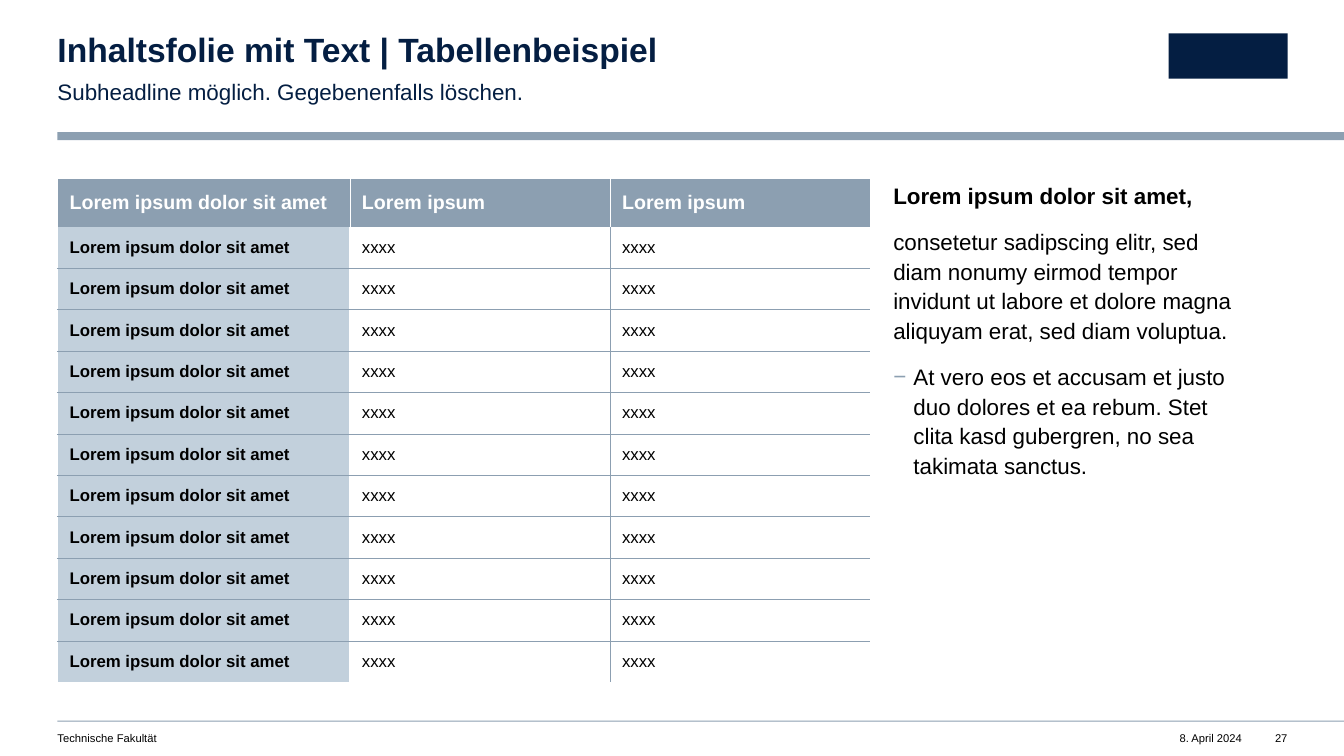
from lxml.etree import SubElement
from pptx import Presentation
from pptx.dml.color import RGBColor
from pptx.enum.shapes import MSO_SHAPE
from pptx.enum.text import MSO_ANCHOR, MSO_AUTO_SIZE, PP_ALIGN
from pptx.oxml.ns import qn
from pptx.util import Pt

EMU_PER_PX = 9144
NAVY, STEEL, PALE, WHITE, BLACK = "041E42", "8C9FB1", "C2D0DC", "FFFFFF", "000000"
LEFT, WIDTH, HEIGHT = 57, 1333, 750


def px(value):
    return value * EMU_PER_PX


def color(value):
    return RGBColor.from_string(value)


def apply(target, values):
    for name, value in values.items():
        setattr(target, name, value)


class SlideBuilder:
    font_name = "Arial"

    def __init__(self, page):
        self.page = page

    def bar(self, left, top, width, height, fill):
        box = self.page.shapes.add_shape(MSO_SHAPE.RECTANGLE, *map(px, (left, top, width, height)))
        box.shadow.inherit = False
        box.fill.solid()
        box.fill.fore_color.rgb = color(fill)
        box.line.fill.background()

    def add_span(self, para, text, size, ink, bold=False):
        span = para.add_run()
        span.text = text
        apply(span.font, {"name": self.font_name, "size": Pt(size), "bold": bold})
        span.font.color.rgb = color(ink)

    def frame(self, box, place, right_inset=0):
        apply(box, dict(zip(("left", "top", "width", "height"), map(px, place))))
        apply(box.text_frame, {
            "margin_left": 0, "margin_top": 0, "margin_right": px(right_inset), "margin_bottom": 0,
            "word_wrap": True, "auto_size": MSO_AUTO_SIZE.NONE, "vertical_anchor": MSO_ANCHOR.TOP,
        })
        return box.text_frame

    def title(self, text, place):
        para = self.frame(self.page.shapes.title, place).paragraphs[0]
        apply(para, {"alignment": PP_ALIGN.LEFT, "line_spacing": 0.9})
        self.add_span(para, text, 24, NAVY, True)

    def body(self, index, place, items, ink):
        frame = self.frame(self.page.placeholders[index], place, right_inset=39)
        for number, (text, bold, level) in enumerate(items):
            para = frame.add_paragraph() if number else frame.paragraphs[0]
            apply(para, {"level": level, "line_spacing": 1.1,
                         "space_before": Pt(0), "space_after": Pt(12)})
            self.add_span(para, text, 16, ink, bold)
            self.bullet(para, level)

    def bullet(self, para, level):
        properties = para._p.get_or_add_pPr()
        properties.set("marL", str(px(20 * level)))
        properties.set("indent", str(px(-20 * level)))
        if level:
            tint = SubElement(properties, qn("a:buClr"))
            SubElement(tint, qn("a:srgbClr"), val=STEEL)
            SubElement(properties, qn("a:buFont"), typeface=self.font_name)
            SubElement(properties, qn("a:buChar"), char="−")
        else:
            SubElement(properties, qn("a:buNone"))

    def label(self, text, place, alignment=PP_ALIGN.LEFT):
        box = self.page.shapes.add_textbox(*map(px, place))
        para = self.frame(box, place).paragraphs[0]
        para.alignment = alignment
        self.add_span(para, text, 8, BLACK)

    def borders(self, cell, edges):
        properties = cell._tc.get_or_add_tcPr()
        for position, (side, edge) in enumerate(zip("LRTB", edges)):
            line = SubElement(properties, qn(f"a:ln{side}"))
            if edge:
                ink, width = edge
                line.set("w", str(Pt(width)))
                SubElement(SubElement(line, qn("a:solidFill")), qn("a:srgbClr"), val=ink)
            else:
                SubElement(line, qn("a:noFill"))
            properties.insert(position, line)

    def cell(self, cell, text, size, ink, bold, fill, edges):
        apply(cell, {"margin_left": px(12), "margin_right": px(12), "margin_top": px(4),
                     "margin_bottom": px(4), "vertical_anchor": MSO_ANCHOR.MIDDLE})
        if fill:
            cell.fill.solid()
            cell.fill.fore_color.rgb = color(fill)
        else:
            cell.fill.background()
        self.add_span(cell.text_frame.paragraphs[0], text, size, ink, bold)
        self.borders(cell, edges)

    def table(self, place, widths, header_height, rows):
        last = len(rows) - 1
        table = self.page.shapes.add_table(len(rows), len(widths), *map(px, place)).table
        apply(table, {"first_row": False, "horz_banding": False})
        for column, width in zip(table.columns, widths):
            column.width = px(width)
        for number, row in enumerate(table.rows):
            row.height = px(place[3] - header_height) // last if number else px(header_height)

        rule = (STEEL, 0.25)
        header_edges = [(WHITE, 1), (WHITE, 0.5), (WHITE, 0.5), None]
        body_edges = [(WHITE, 1), (WHITE, 1), rule, None]
        for number, texts in enumerate(rows):
            uprights = body_edges if number else header_edges
            top = rule if number > 1 else None
            bottom = rule if 0 < number < last else None
            for index, text in enumerate(texts):
                edges = (uprights[index], uprights[index + 1], top, bottom)
                if number == 0:
                    look = (14, WHITE, True, STEEL)
                else:
                    look = (12, BLACK, index == 0, None if index else PALE)
                self.cell(table.cell(number, index), text, *look, edges)


def main():
    deck = Presentation()
    apply(deck, {"slide_width": px(WIDTH), "slide_height": px(HEIGHT)})
    slide = SlideBuilder(deck.slides.add_slide(deck.slide_layouts[3]))

    slide.bar(LEFT, 131, WIDTH - LEFT, 8, STEEL)
    slide.bar(LEFT, 715, WIDTH - LEFT, 1, STEEL)
    slide.bar(1159, 33, 118, 45, NAVY)

    slide.title("Inhaltsfolie mit Text | Tabellenbeispiel", (LEFT, 33, 749, 36))
    slide.body(1, (LEFT, 75, 749, 27),
               [("Subheadline möglich. Gegebenenfalls löschen.", False, 0)], NAVY)
    slide.body(2, (886, 178, 391, 500), [
        ("Lorem ipsum dolor sit amet,", True, 0),
        ("consetetur sadipscing elitr, sed diam nonumy eirmod tempor invidunt ut labore "
         "et dolore magna aliquyam erat, sed diam voluptua.", False, 0),
        ("At vero eos et accusam et justo duo dolores et ea rebum. Stet clita kasd "
         "gubergren, no sea takimata sanctus.", False, 1),
    ], BLACK)

    header = ("Lorem ipsum dolor sit amet", "Lorem ipsum", "Lorem ipsum")
    entry = ("Lorem ipsum dolor sit amet", "xxxx", "xxxx")
    slide.table((LEFT, 178, 806, 499), (290, 258, 258), 47, [header] + [entry] * 11)

    slide.label("Technische Fakultät", (LEFT, 726, 598, 13))
    slide.label("8. April 2024", (1139, 726, 93, 13), PP_ALIGN.RIGHT)
    slide.label("27", (1256, 726, 21, 13), PP_ALIGN.RIGHT)
    deck.save("out.pptx")


if __name__ == "__main__":
    main()
